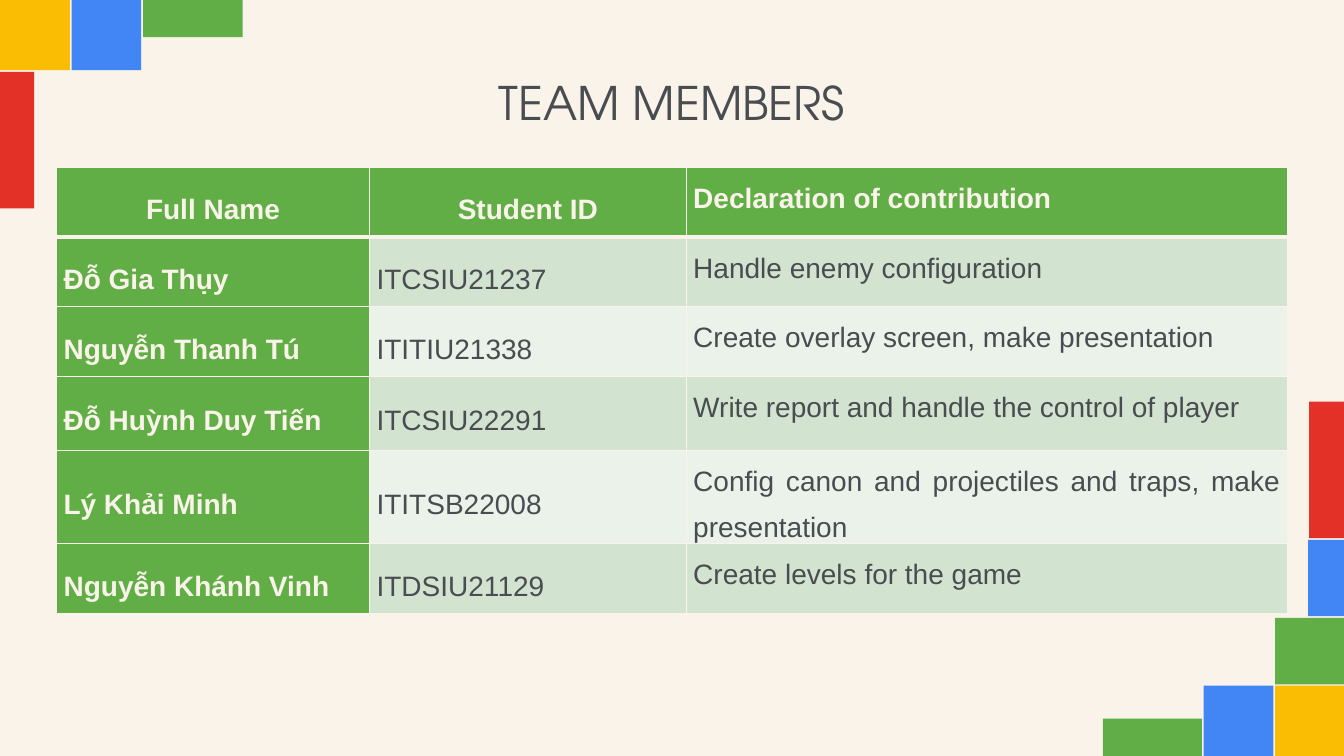
import dataclasses

import lxml.etree
import pptx
import pptx.dml.color
import pptx.enum.shapes
import pptx.enum.text
import pptx.oxml.ns
import pptx.util

Pt = pptx.util.Pt
ALIGN = pptx.enum.text.PP_ALIGN
ANCHOR = pptx.enum.text.MSO_ANCHOR


@dataclasses.dataclass(frozen=True)
class Theme:
    cream: str = "F9F3EA"
    ink: str = "494C50"
    green: str = "61AE46"
    blue: str = "4285F4"
    yellow: str = "FBBC04"
    red: str = "E43127"
    band_dark: str = "D2E3CF"
    band_light: str = "EAF2E9"
    title_font: str = "TeX Gyre Adventor"
    body_font: str = "Arial"
    title_size: int = 33
    body_size: int = 20


class SlideBuilder:
    def __init__(self, deck, theme):
        self.theme = theme
        self.page = deck.slides.add_slide(deck.slide_layouts[5])
        self.paint(self.page.background.fill, theme.cream)

    def paint(self, fill, color):
        fill.solid()
        fill.fore_color.rgb = pptx.dml.color.RGBColor.from_string(color)

    def style_text(self, para, font, size, color, bold=False):
        for span in para.runs:
            span.font.name = font
            span.font.size = Pt(size)
            span.font.bold = bold
            span.font.color.rgb = pptx.dml.color.RGBColor.from_string(color)

    def tile(self, left, top, width, height, color):
        box = self.page.shapes.add_shape(
            pptx.enum.shapes.MSO_SHAPE.RECTANGLE,
            Pt(left), Pt(top), Pt(width), Pt(height))
        box.shadow.inherit = False
        box.line.fill.background()
        self.paint(box.fill, color)

    def title(self, text, left, top, width, height):
        box = self.page.shapes.title
        box.left, box.top = Pt(left), Pt(top)
        box.width, box.height = Pt(width), Pt(height)
        frame = box.text_frame
        frame.text = text
        frame.word_wrap = True
        frame.auto_size = pptx.enum.text.MSO_AUTO_SIZE.NONE
        frame.vertical_anchor = ANCHOR.MIDDLE
        frame.margin_left = frame.margin_right = Pt(9.4)
        frame.margin_top = frame.margin_bottom = Pt(9.4)
        para = frame.paragraphs[0]
        para.alignment = ALIGN.CENTER
        self.style_text(para, self.theme.title_font, self.theme.title_size, self.theme.ink)

    def border(self, cell, side, width):
        properties = cell._tc.get_or_add_tcPr()
        line = lxml.etree.SubElement(
            properties, pptx.oxml.ns.qn(f"a:ln{side}"), w=str(Pt(width)))
        fill = lxml.etree.SubElement(line, pptx.oxml.ns.qn("a:solidFill"))
        lxml.etree.SubElement(fill, pptx.oxml.ns.qn("a:srgbClr"), val=self.theme.cream)

    def cell(self, cell, text, row, column):
        theme = self.theme
        header = row == 0
        strong = header or column == 0
        for side in "LRTB":
            under_header = (header and side == "B") or (row == 1 and side == "T")
            self.border(cell, side, 3 if under_header else 1)
        band = theme.band_dark if row % 2 else theme.band_light
        self.paint(cell.fill, theme.green if strong else band)
        cell.margin_left = cell.margin_right = Pt(5)
        cell.margin_top = cell.margin_bottom = Pt(0)
        cell.vertical_anchor = ANCHOR.TOP if column == 2 else ANCHOR.MIDDLE
        cell.text_frame.text = text
        para = cell.text_frame.paragraphs[0]
        if header:
            para.alignment = ALIGN.LEFT if column == 2 else ALIGN.CENTER
        else:
            para.alignment = ALIGN.JUSTIFY if column == 2 else ALIGN.LEFT
        para.line_spacing = 1.5
        para.space_after = Pt(8)
        color = theme.cream if strong else theme.ink
        self.style_text(para, theme.body_font, theme.body_size, color, strong)

    def table(self, rows, left, top, widths, heights):
        table = self.page.shapes.add_table(
            len(rows), len(widths), Pt(left), Pt(top),
            Pt(sum(widths)), Pt(sum(heights))).table
        table.first_col = True
        for column, width in zip(table.columns, widths):
            column.width = Pt(width)
        for row, height in zip(table.rows, heights):
            row.height = Pt(height)
        for row, texts in enumerate(rows):
            for column, text in enumerate(texts):
                self.cell(table.cell(row, column), text, row, column)


def main():
    deck = pptx.Presentation()
    deck.slide_width, deck.slide_height = Pt(960), Pt(540)
    theme = Theme()
    slide = SlideBuilder(deck, theme)

    tiles = [
        (51.2, 0, 49.6, 50.2, theme.blue),
        (0, 0, 50, 50.2, theme.yellow),
        (102.2, 0, 71.2, 26.6, theme.green),
        (0, 51.3, 24.4, 97.6, theme.red),
        (859.8, 489.8, 49.8, 50.2, theme.blue),
        (910.8, 489.8, 49.2, 50.2, theme.yellow),
        (935.1, 286.8, 24.9, 97.6, theme.red),
        (910.8, 441.4, 49.2, 47.4, theme.green),
        (787.8, 513.4, 70.8, 26.6, theme.green),
        (934.4, 385.6, 25.6, 54.6, theme.blue),
    ]
    for tile in tiles:
        slide.tile(*tile)

    slide.title("TEAM MEMBERS", 69.1, 26, 821.7, 93.6)

    members = [
        ("Full Name", "Student ID", "Declaration of contribution"),
        ("Đỗ Gia Thụy", "ITCSIU21237", "Handle enemy configuration"),
        ("Nguyễn Thanh Tú", "ITITIU21338", "Create overlay screen, make presentation"),
        ("Đỗ Huỳnh Duy Tiến", "ITCSIU22291", "Write report and handle the control of player"),
        ("Lý Khải Minh", "ITITSB22008",
         "Config canon and projectiles and traps, make presentation"),
        ("Nguyễn Khánh Vinh", "ITDSIU21129", "Create levels for the game"),
    ]
    heights = [49.8, 49.8, 49.8, 52.6, 49.8, 49.8]
    slide.table(members, 40.4, 119.6, [223.6, 226.2, 429.4], heights)
    deck.save("out.pptx")


if __name__ == "__main__":
    main()
